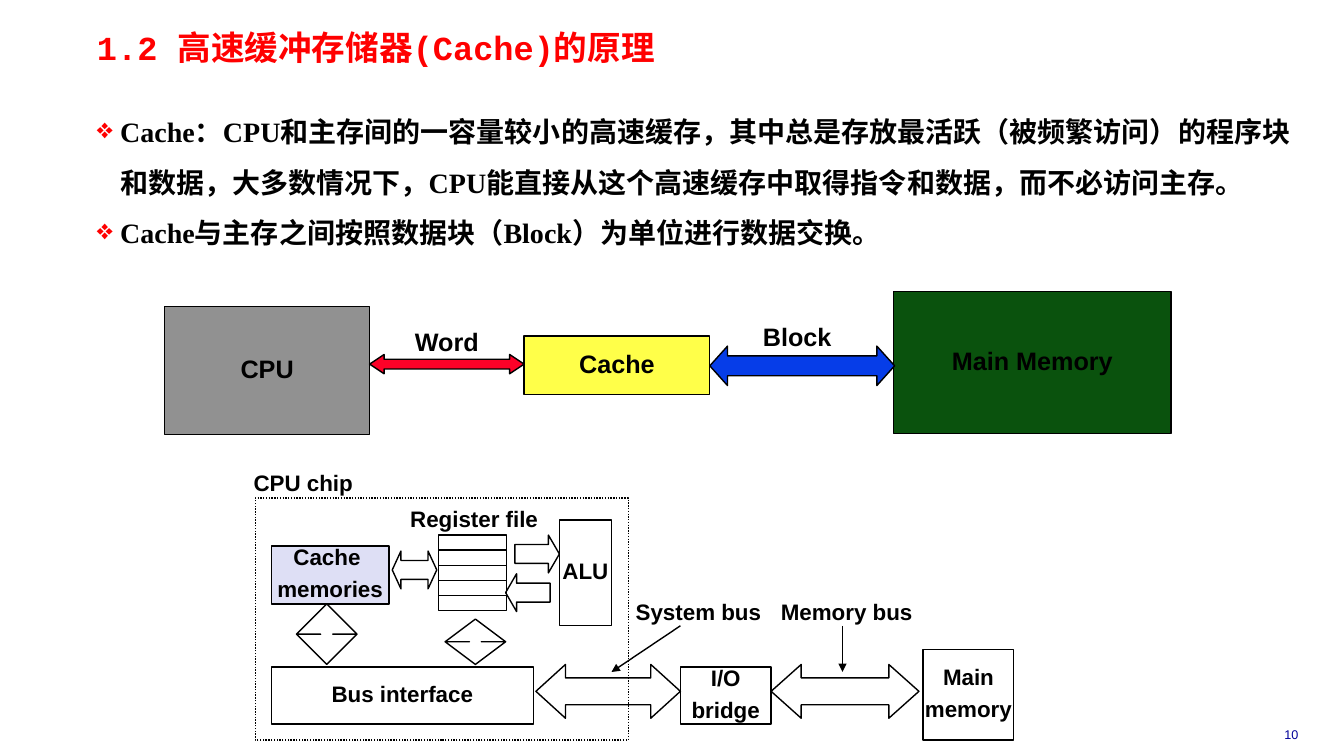
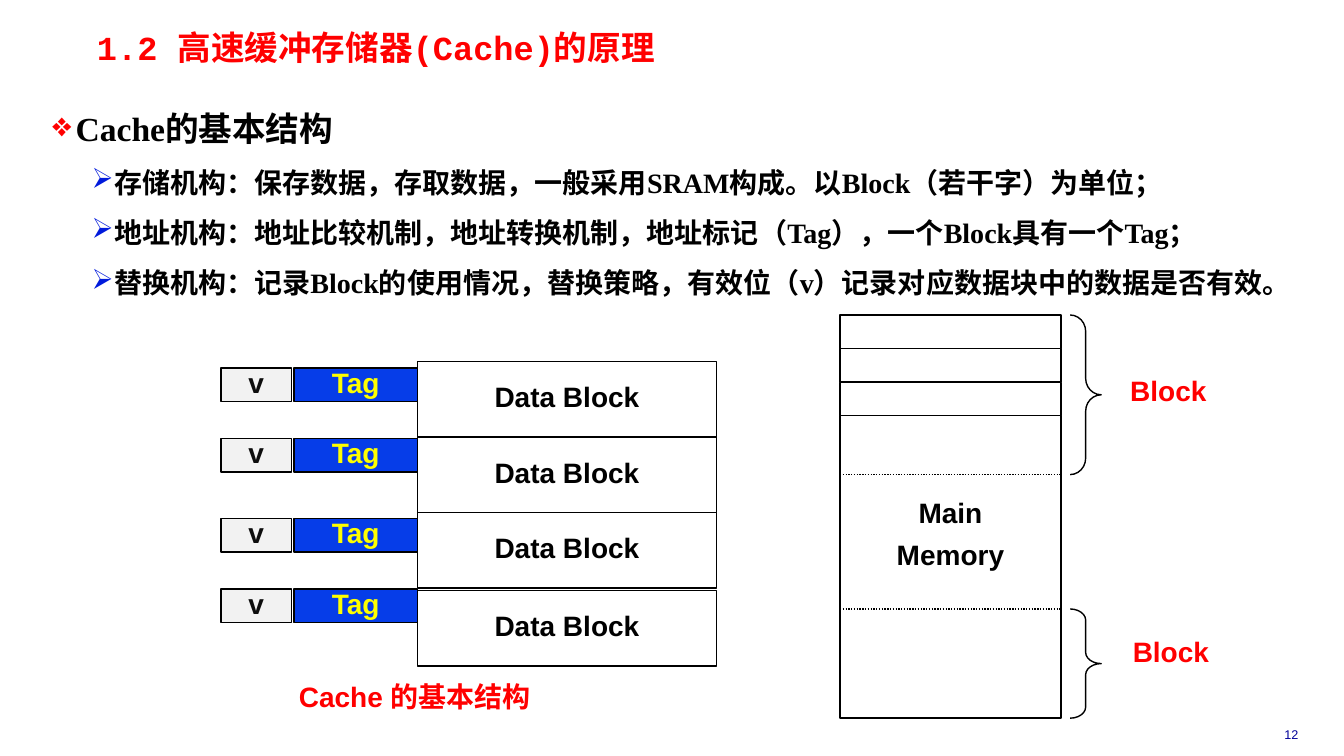
from lxml.etree import SubElement as Sub
from pptx import Presentation
from pptx.dml.color import RGBColor
from pptx.enum.dml import MSO_LINE as Dash
from pptx.enum.shapes import MSO_CONNECTOR as Conn, MSO_SHAPE as Form
from pptx.enum.text import MSO_ANCHOR as Anchor, PP_ALIGN as Align
from pptx.oxml.ns import qn
from pptx.util import Inches, Pt

COLS, ROWS = 160, 90  # square grid cells, twelve to the inch
BLACK, RED, BLUE, YELLOW = "000000", "FF0000", "063DE8", "FFFF00"
NAVY, PALE, LILAC = "000099", "F2F2F2", "DEDFF5"
TITLE = "1.2 高速缓冲存储器(Cache)的原理"
SANS, MONO, SERIF = "Arial", "Courier New", "Times New Roman"
# Per level: sign, its colour, left margin and hanging indent in inches
MARKS = [("❖", RED, 0.23, -0.23), ("➢", "001ADC", 0.55, -0.16)]


def cells(*nums):
    return [Inches(n / 12) for n in nums]


def tint(code):
    return RGBColor.from_string(code)


def style(para, size, color=BLACK, face=SANS, bold=True):
    font = para.font
    font.size, font.name, font.bold = Pt(size), face, bold
    font.color.rgb = tint(color)


def write(frame, text, size, color=BLACK, gap=0.4):
    """Centred bold lines; gap is the space between them in font sizes."""
    for i, line in enumerate(text.split("\n")):
        para = frame.add_paragraph() if i else frame.paragraphs[0]
        para.text = line
        para.alignment = Align.CENTER
        para.line_spacing = 0.85
        if i:
            para.space_before = Pt(size * gap)
        style(para, size, color)


def pen(line, dotted=False):
    line.color.rgb = tint(BLACK)
    line.width = Pt(1)
    if dotted:
        line.dash_style = Dash.ROUND_DOT


def shape(slide, form, at, fill=None, adj=(), dotted=False):
    item = slide.shapes.add_shape(form, *cells(*at))
    item.shadow.inherit = False
    if fill:
        item.fill.solid()
        item.fill.fore_color.rgb = tint(fill)
    else:
        item.fill.background()
    pen(item.line, dotted)
    for i, share in enumerate(adj):
        item.adjustments[i] = share
    return item


def box(slide, at, text="", size=16, fill=None, color=BLACK):
    item = shape(slide, Form.RECTANGLE, at, fill)
    if text:
        frame = item.text_frame
        frame.word_wrap = False
        frame.vertical_anchor = Anchor.MIDDLE
        write(frame, text, size, color)


def area(slide, at, wrap=True):
    frame = slide.shapes.add_textbox(*cells(*at)).text_frame
    frame.word_wrap = wrap
    return frame


def label(slide, at, text, size, color=BLACK):
    write(area(slide, at), text, size, color, 0.5)


def tag(slide, at, text):
    """Small label centred on its box, free to run past its sides."""
    frame = area(slide, at, False)
    frame.vertical_anchor = Anchor.MIDDLE
    write(frame, text, 16)


def line(slide, start, end, dotted=False, arrow=False):
    item = slide.shapes.add_connector(Conn.STRAIGHT, *cells(*start, *end))
    pen(item.line, dotted)
    if arrow:
        Sub(item.line._get_or_add_ln(), qn("a:tailEnd"), type="triangle")
    Sub(item._element.spPr, qn("a:effectLst"))


def inset(frame):
    frame.margin_left = frame.margin_right = Inches(0.07)
    frame.margin_top = frame.margin_bottom = Inches(0.03)


def bullet(para, level):
    sign, color, left, hang = MARKS[level]
    para.level = level
    prop = para._p.get_or_add_pPr()
    prop.set("marL", str(Inches(left)))
    prop.set("indent", str(Inches(hang)))
    Sub(Sub(prop, qn("a:buClr")), qn("a:srgbClr"), val=color)
    Sub(prop, qn("a:buChar"), char=sign)


def body(slide, at, items):
    """Bulleted text from (level, size, text) items."""
    frame = area(slide, at)
    inset(frame)
    for i, (level, size, text) in enumerate(items):
        para = frame.add_paragraph() if i else frame.paragraphs[0]
        para.text = text
        para.line_spacing = 1.5
        bullet(para, level)
        style(para, size, face=SERIF)


def page(deck, number):
    """Blank slide with the shared title and page number."""
    slide = deck.slides.add_slide(deck.slide_layouts[6])
    para = area(slide, (148.1, 86, 11.3, 3)).paragraphs[0]
    para.text = number
    para.alignment = Align.CENTER
    style(para, 9, NAVY, bold=False)
    frame = area(slide, (10.7, 3.5, 92, 4.9))
    inset(frame)
    para = frame.paragraphs[0]
    para.text = TITLE
    para.line_spacing = 0.87
    style(para, 24, RED, MONO)
    return slide


def flow(slide):
    """Processor, cache and memory in a row."""
    for at, text, fill in [
        ((19.6, 36.5, 24.4, 15.2), "CPU", "919191"),
        ((62.4, 40, 22.1, 7), "Cache", "FFFF49"),
        ((106.4, 34.7, 33, 16.9), "Main Memory", "0A520D"),
    ]:
        box(slide, at, text, 18, fill)
    both = Form.LEFT_RIGHT_ARROW
    shape(slide, both, (44, 42.2, 18.4, 2.3), "FC0128", (0.5, 0.75))
    shape(slide, both, (84.5, 41.2, 22, 4.7), BLUE, (0.5, 0.45))
    label(slide, (44, 38.8, 18.4, 2.5), "Word", 18)
    label(slide, (84.5, 38.2, 20.8, 2.5), "Block", 18)


def chip(slide):
    """Inside of the processor chip and the buses leaving it."""
    for at, text, fill in [
        ((109.9, 77.3, 10.8, 10.8), "Main\nmemory", None),
        ((81, 79.4, 10.8, 6.8), "I/O\nbridge", None),
        ((32.3, 79.4, 31.2, 6.8), "Bus interface", None),
        ((66.6, 61.9, 6.2, 12.6), "ALU", None),
        ((32.3, 65, 14, 6.9), "Cache \nmemories", LILAC),
    ]:
        box(slide, at, text, fill=fill)
    for i in range(5):
        box(slide, (52.2, 63.7 + 1.8 * i, 8.1, 1.8))
    both, tall = Form.LEFT_RIGHT_ARROW, Form.UP_DOWN_ARROW
    for form, at, head in [
        (both, (91.8, 79.1, 17.6, 6.4), 0.56),
        (both, (63.8, 79.1, 17.2, 6.4), 0.55),
        (both, (46.7, 65.6, 5.3, 4.5), 0.23),
        (Form.RIGHT_ARROW, (61.3, 63.7, 5.3, 4.5), 0.29),
        (Form.LEFT_ARROW, (60.2, 68.3, 5.3, 4.5), 0.29),
        (tall, (53, 73.7, 7.2, 5.4), 0.2),
        (tall, (35.3, 71.9, 7.2, 7.2), 0.2),
    ]:
        shape(slide, form, at, adj=(0.5, head))
    shape(slide, Form.RECTANGLE, (30.4, 59.3, 44.4, 28.8), dotted=True)
    for left, top, wide, text in [
        (47.5, 60, 17.9, "Register file"),
        (28.9, 55.7, 14.4, "CPU chip"),
        (74.4, 71, 17.5, "System bus"),
        (91.7, 71, 18.2, "Memory bus"),
    ]:
        tag(slide, (left, top, wide, 4), text)
    line(slide, (81, 74.5), (72.8, 80), arrow=True)
    line(slide, (100.3, 74.5), (100.3, 80), arrow=True)


def cache(slide):
    """Cache lines: valid bit, tag and data block."""
    for top in (43, 52, 61, 70.3):
        box(slide, (49.7, top, 35.6, 9), "Data Block", 20)
    for top in (43.8, 52.2, 61.7, 70.1):
        box(slide, (35, top, 14.7, 4), "Tag", 20, BLUE, YELLOW)
        box(slide, (26.3, top, 8.4, 4), "v", 20, PALE, "0D0D0D")
    label(slide, (26.3, 80.9, 46.2, 4.7), "Cache 的基本结构", 20, RED)


def memory(slide):
    """Main memory column with its blocks braced."""
    left, wide, top, row = 100, 26.3, 37.5, 4
    for i in range(3):
        box(slide, (left, top + i * row, wide, row))
    box(slide, (left, top + 3 * row, wide, 36))
    for y in (56.5, 72.5):
        line(slide, (left, y), (left + wide, y), dotted=True)
    for y, high, curl in [(top, 19, 0.53), (72.5, 13, 0.36)]:
        shape(slide, Form.RIGHT_BRACE, (127.4, y, 3.7, high), adj=(curl, 0.5))
    for x, y in [(131, 44.5), (131.3, 75.5)]:
        label(slide, (x, y, 16.2, 4.7), "Block", 20, RED)
    label(slide, (left, 59, wide, 10.1), "Main\nMemory", 20)


def main():
    deck = Presentation()
    deck.slide_width, deck.slide_height = cells(COLS, ROWS)
    slide = page(deck, "10")
    body(slide, (10.7, 11.3, 144, 18.8), [
        (0, 20, "Cache：CPU和主存间的一容量较小的高速缓存，其中总是存放最活跃"
                "（被频繁访问）的程序块和数据，大多数情况下，CPU能直接从这个"
                "高速缓存中取得指令和数据，而不必访问主存。"),
        (0, 20, "Cache与主存之间按照数据块（Block）为单位进行数据交换。"),
    ])
    flow(slide)
    chip(slide)

    slide = page(deck, "12")
    body(slide, (5.4, 10.1, 151.2, 31.4), [
        (0, 24, "Cache的基本结构"),
        (1, 20, "存储机构：保存数据，存取数据，一般采用SRAM构成。"
                "以Block（若干字）为单位；"),
        (1, 20, "地址机构：地址比较机制，地址转换机制，地址标记（Tag），"
                "一个Block具有一个Tag；"),
        (1, 20, "替换机构：记录Block的使用情况，替换策略，有效位（v）"
                "记录对应数据块中的数据是否有效。"),
    ])
    cache(slide)
    memory(slide)
    deck.save("out.pptx")


if __name__ == "__main__":
    main()
